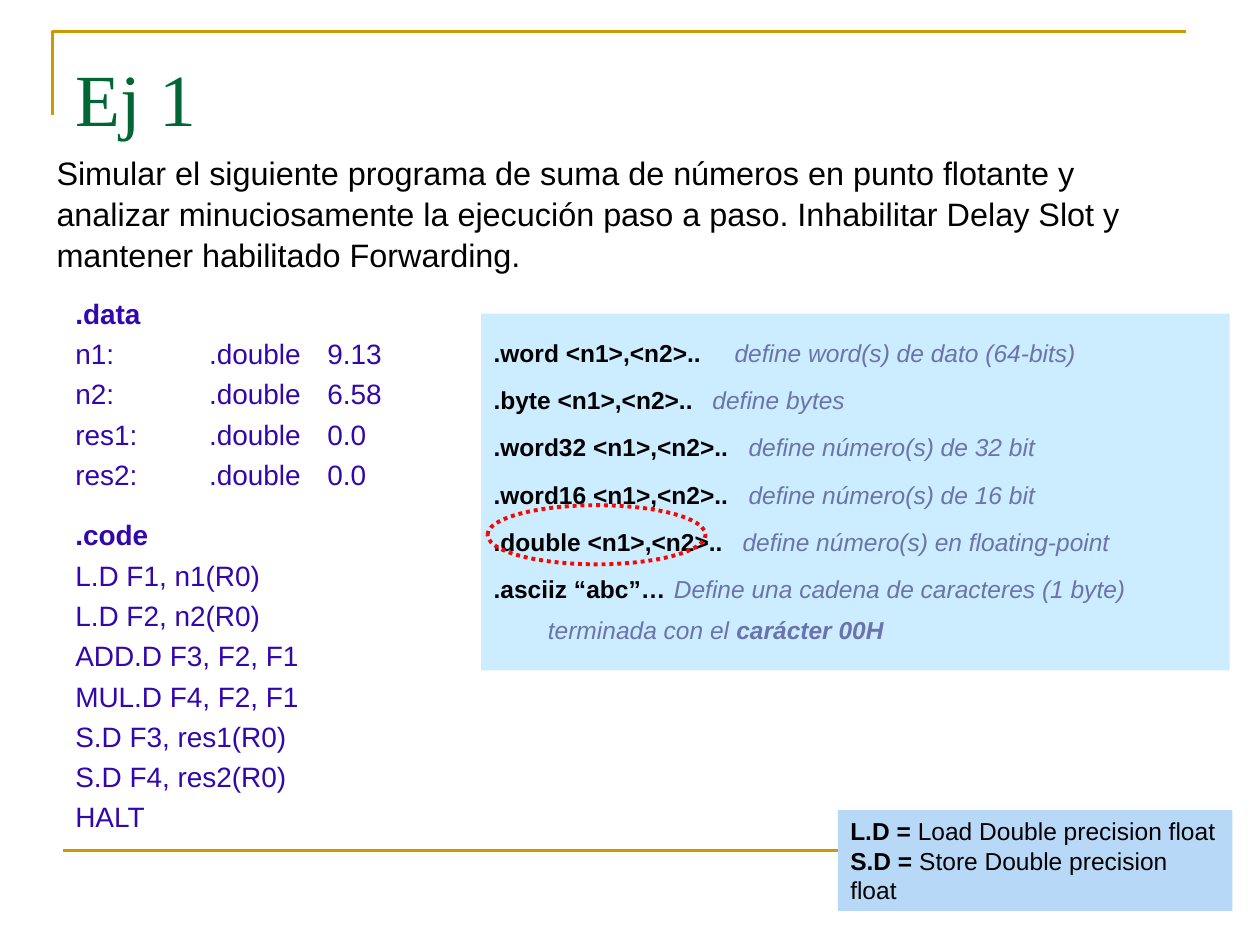
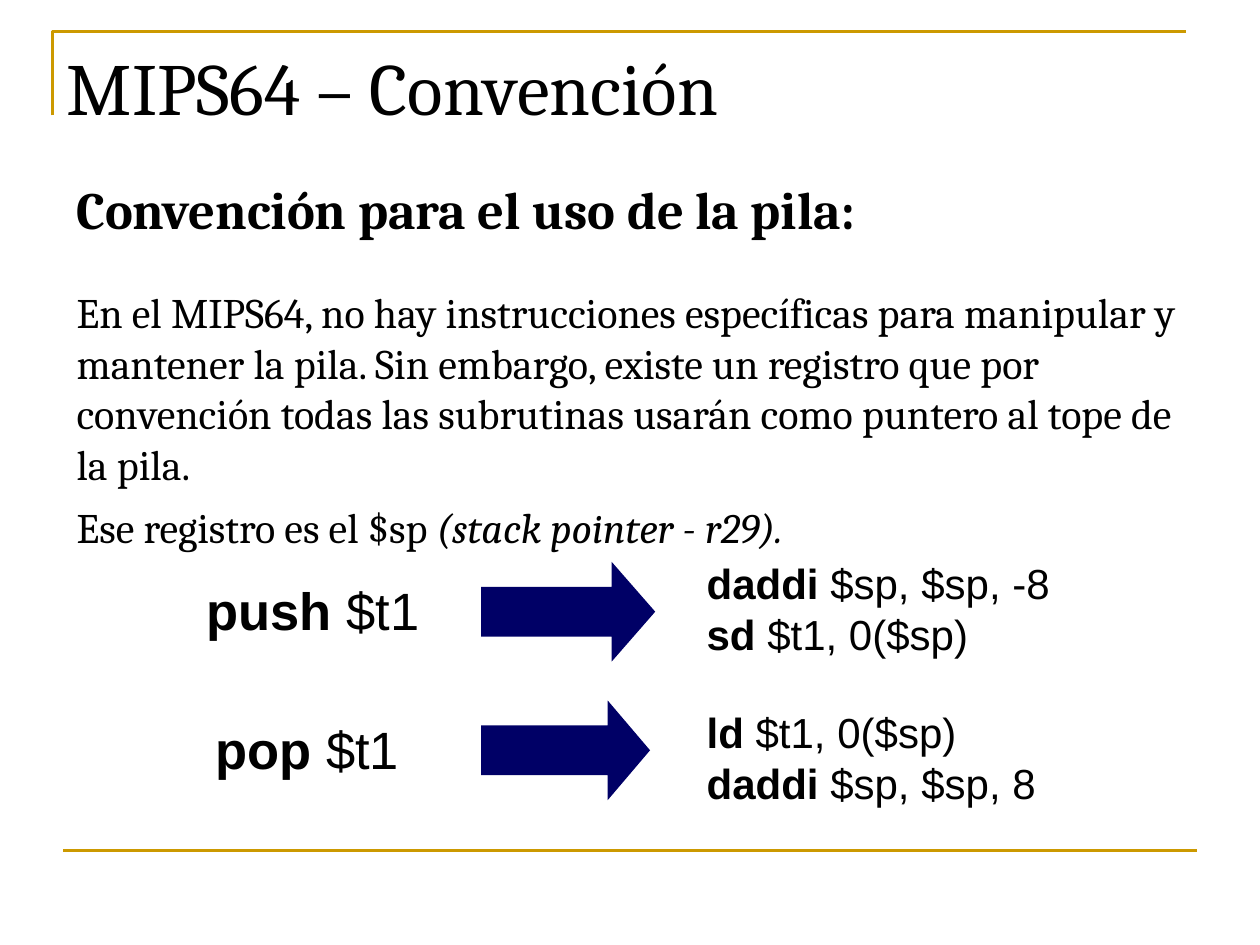
from lxml import etree
from pptx import Presentation
from pptx.dml.color import RGBColor
from pptx.enum import dml, shapes, text
from pptx.oxml.ns import qn
from pptx.util import Pt

HUES = {
    "gold": "CC9900", "green": "006633", "black": "000000",
    "violet": "3207AD", "slate": "6B73AD", "sky": "CCECFF",
    "blue": "B7D9F7", "red": "F70701", "navy": "000066",
}
TITLE = {"size": 42}
TASK = {"name": "Arial", "size": 18.5}
CODE = {"name": "Arial", "size": 16, "hue": "violet"}
NOTE = {"name": "Arial", "size": 14}
CALL = {"name": "Arial", "size": 30}
STEP = {"name": "Arial", "size": 24}
HEAD = {"name": "Cambria", "size": 30, "bold": True}
BODY = {"name": "Cambria", "size": 24}
BOLD = {"bold": True}
DEF = {"italic": True, "hue": "slate"}
FRAME = (30, 18, 648, 48)
RULE = (36, 486, 648, 0)


def color(name):
    return RGBColor.from_string(HUES[name])


def apply(item, style):
    for key, value in style.items():
        setattr(item, key, value)


def paint(run, style):
    look = {"hue": "black", "bold": False, "italic": False, **style}
    run.font.color.rgb = color(look.pop("hue"))
    look["size"] = Pt(look["size"])
    apply(run.font, look)


def write(shape, paras, style, tops=0):
    frame = shape.text_frame
    apply(frame, {
        "word_wrap": True, "auto_size": text.MSO_AUTO_SIZE.NONE,
        "vertical_anchor": text.MSO_ANCHOR.TOP,
        "margin_left": Pt(7.2), "margin_right": Pt(7.2),
        "margin_top": Pt(3.6 + tops), "margin_bottom": Pt(3.6),
    })
    for i, (runs, form) in enumerate(paras):
        para = frame.paragraphs[0] if i == 0 else frame.add_paragraph()
        form = {"alignment": text.PP_ALIGN.LEFT, **form}
        stops, hang = form.pop("tabs", ()), form.pop("hang", 0)
        apply(para, form)
        props = para._p.get_or_add_pPr()
        if hang:
            props.set("marL", str(Pt(hang)))
            props.set("indent", str(-Pt(hang)))
        if stops:
            tabs = etree.SubElement(props, qn("a:tabLst"))
            for stop in stops:
                etree.SubElement(tabs, qn("a:tab"), pos=str(Pt(stop)), algn="l")
        for words, extra in runs:
            run = para.add_run()
            run.text = words
            paint(run, {**style, **extra})


def label(slide, box, paras, style, tops=0):
    write(slide.shapes.add_textbox(*map(Pt, box)), paras, style, tops)


def block(slide, kind, box, fill=None):
    shape = slide.shapes.add_shape(kind, *map(Pt, box))
    shape.shadow.inherit = False
    if fill:
        shape.fill.solid()
        shape.fill.fore_color.rgb = color(fill)
        shape.line.fill.background()
    else:
        shape.fill.background()
    return shape


def stroke(shape, hue, width):
    shape.line.color.rgb = color(hue)
    shape.line.width = Pt(width)


def start(deck, words, box, style, tops=0):
    slide = deck.slides.add_slide(deck.slide_layouts[5])
    x, y, w, h = FRAME
    path = slide.shapes.build_freeform(Pt(x), Pt(y + h))
    path.add_line_segments([(Pt(x), Pt(y)), (Pt(x + w), Pt(y))], close=False)
    edge = path.convert_to_shape()
    edge.shadow.inherit = False
    edge.fill.background()
    x, y, w, h = RULE
    rule = slide.shapes.add_connector(
        shapes.MSO_CONNECTOR.STRAIGHT, Pt(x), Pt(y), Pt(x + w), Pt(y + h))
    for line in (edge, rule):
        stroke(line, "gold", 1.5)
    etree.SubElement(rule._element.spPr, qn("a:effectLst"))
    title = slide.shapes.title
    apply(title, dict(zip(("left", "top", "width", "height"), map(Pt, box))))
    write(title, [([(words, {})], {})], {**TITLE, **style}, tops)
    return slide


def listing(slide, box):
    data = [("n1:", "9.13"), ("n2:", "6.58"), ("res1:", "0.0"), ("res2:", "0.0")]
    lines = [".data", *(f"{name}\t.double\t{value}" for name, value in data),
             ".code", "L.D F1, n1(R0)", "L.D F2, n2(R0)", "ADD.D F3, F2, F1",
             "MUL.D F4, F2, F1", "S.D F3, res1(R0)", "S.D F4, res2(R0)", "HALT"]
    paras = []
    for line in lines:
        form = {"line_spacing": 1.2, "tabs": (76.4, 144)}
        if line == ".code":
            form["space_before"] = Pt(11.5)
        paras.append(([(line, {"bold": line.startswith(".")})], form))
    label(slide, box, paras, CODE)


def types(slide, box):
    x, y, w, h = box
    rows = [
        (".word <n1>,<n2>..", 137.7, "define word(s) de dato (64-bits)"),
        (".byte <n1>,<n2>..", 125.1, "define bytes"),
        (".word32 <n1>,<n2>..", 145.7, "define número(s) de 32 bit"),
        (".word16 <n1>,<n2>..", 145.7, "define número(s) de 16 bit"),
        (".double <n1>,<n2>..", 142.3, "define número(s) en floating-point"),
        (".asciiz “abc”…", 109.7,
         "Define una cadena de caracteres (1 byte) terminada con el "),
    ]
    paras = []
    for i, (code, stop, words) in enumerate(rows):
        form = {"line_spacing": 1.4, "space_before": Pt(3.5 if i else 0),
                "tabs": (stop,)}
        paras.append(([(code + "\t", BOLD), (words, DEF)], form))
    runs, form = paras[-1]
    runs.append(("carácter 00H", {**DEF, **BOLD}))
    form["hang"] = 31
    panel = block(slide, shapes.MSO_SHAPE.RECTANGLE, box, "sky")
    write(panel, paras, NOTE, 3.5)
    return x + 3.6, y + 109.4, 124.6, 33.8


def key(slide, box):
    paras = [([(code, BOLD), (words, {})], {}) for code, words in (
        ("L.D = ", "Load Double precision float"),
        ("S.D = ", "Store Double precision float"))]
    write(block(slide, shapes.MSO_SHAPE.RECTANGLE, box, "blue"), paras, NOTE)


def ring(slide, box):
    oval = block(slide, shapes.MSO_SHAPE.OVAL, box)
    stroke(oval, "red", 2.25)
    oval.line.dash_style = dml.MSO_LINE.ROUND_DOT


def task(deck):
    slide = start(deck, "Ej 1", (36, 21.6, 648, 90),
                  {"name": "Times New Roman", "hue": "green"}, 5)
    words = ("Simular el siguiente programa de suma de números en punto flotante y "
             "analizar minuciosamente la ejecución paso a paso. Inhabilitar Delay "
             "Slot y mantener habilitado Forwarding.")
    label(slide, (25.2, 82.8, 663, 79.2),
          [([(words, {})], {"line_spacing": 1.05})], TASK)
    listing(slide, (36, 162, 199.4, 318.2))
    spot = types(slide, (275, 179.3, 427.7, 203.8))
    key(slide, (478.8, 463, 225.4, 57.6))
    ring(slide, spot)


def swap(slide, box, call, steps, shift, drops, wide, tip):
    x, y, w, h = box
    label(slide, (x + shift, y + drops[0], 164.2, 62.6),
          [([(call, BOLD), ("$t1", {})], {})], CALL)
    arrow = block(slide, shapes.MSO_SHAPE.RIGHT_ARROW,
                  (x + 164.1, y, wide, h), "navy")
    arrow.adjustments[1] = tip
    label(slide, (x + 285.8, y + drops[1], w - 285.8, 64.8),
          [([(code, BOLD), (args, {})], {}) for code, args in steps], STEP)


def stack(deck):
    slide = start(deck, "MIPS64 – Convención", (31, 20.2, 648, 90),
                  {"name": "Cambria"})
    words = ("En el MIPS64, no hay instrucciones específicas para manipular y "
             "mantener la pila. Sin embargo, existe un registro que por convención "
             "todas las subrutinas usarán como puntero al tope de la pila.")
    label(slide, (36.7, 94.3, 648, 226.8), [
        ([("Convención para el uso de la pila:", HEAD)], {}),
        ([(words, {})], {"space_before": Pt(27)}),
        ([("Ese registro es el $sp ", {}),
          ("(stack pointer - r29).", {"italic": True})],
         {"space_before": Pt(7.5)}),
    ], BODY, 3)
    swap(slide, (110.9, 321.1, 529.9, 56.9), "push ",
         [("daddi ", "$sp, $sp, -8"), ("sd ", "$t1, 0($sp)")],
         0, (5.8, -5.8), 99.4, 0.436)
    swap(slide, (110.9, 400.3, 529.9, 56.9), "pop ",
         [("ld ", "$t1, 0($sp)"), ("daddi ", "$sp, $sp, 8")],
         5, (5.8, 0), 96.5, 0.425)


def main():
    deck = Presentation()
    deck.slide_width, deck.slide_height = Pt(720), Pt(540)
    task(deck)
    stack(deck)
    deck.save("out.pptx")


if __name__ == "__main__":
    main()
